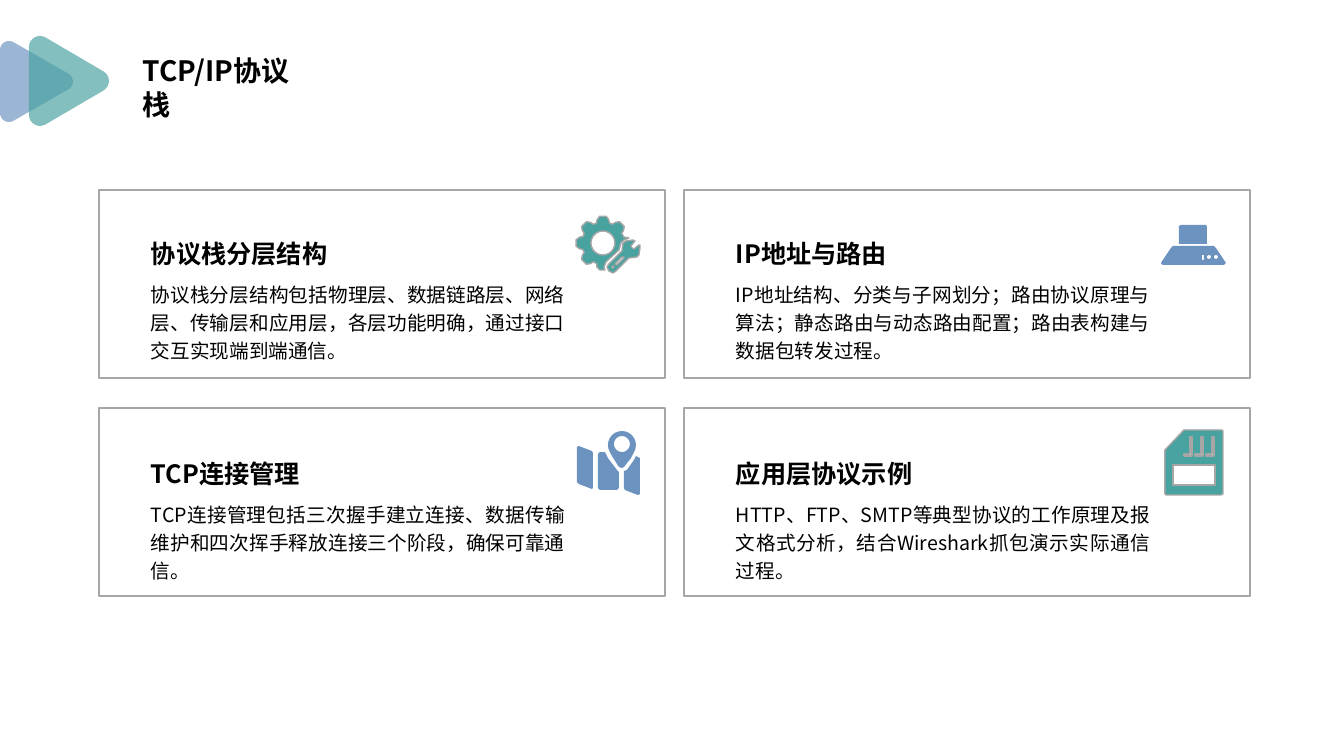
"""Build the TCP/IP protocol stack slide: four outlined cards with icons."""
from math import cos, radians, sin

from lxml.etree import SubElement
from pptx import Presentation
from pptx.dml.color import RGBColor
from pptx.enum.shapes import MSO_SHAPE
from pptx.enum.text import PP_ALIGN
from pptx.oxml.ns import qn
from pptx.util import Pt

PX = 914400 / 100.8
FONT = "Noto Sans CJK SC"
BLUE, TEAL, GREY, BLACK = "6C92C0", "48A2A0", "A6A6A6", "000000"
hue = RGBColor.from_string

deck = Presentation()
deck.slide_width, deck.slide_height = round(1344 * PX), round(756 * PX)
slide = deck.slides.add_slide(deck.slide_layouts[6])
shapes = slide.shapes


def arc(x, y, r, start=0, end=360):
    """Return points along a circle, every 15 degrees."""
    return [(x + r * cos(radians(a)), y + r * sin(radians(a)))
            for a in range(start, end + 1, 15)]


def draw(color, rings, edge=None, alpha=None):
    """Draw closed rings as one filled outline; inner rings are holes."""
    rings = [[(x * PX, y * PX) for x, y in ring] for ring in rings]
    pen = shapes.build_freeform(*rings[0][0])
    pen.add_line_segments(rings[0][1:], close=True)
    for ring in rings[1:]:
        pen.move_to(*ring[0])
        pen.add_line_segments(ring[1:], close=True)
    shape = pen.convert_to_shape()
    shape.shadow.inherit = False
    shape.fill.solid()
    shape.fill.fore_color.rgb = hue(color)
    if alpha:
        tint = shape._element.spPr.find(".//" + qn("a:srgbClr"))
        SubElement(tint, qn("a:alpha")).set("val", str(alpha * 1000))
    if edge:
        shape.line.color.rgb = hue(edge)
        shape.line.width = Pt(1)
    else:
        shape.line.fill.background()


for color, left, tip, top, low, r in [(BLUE, 9, 64, 50, 113, 9),
                                      (TEAL, 40, 98, 47, 115, 11)]:
    play = (arc(left, top, r, 180, 300) + arc(tip, (top + low) / 2, r, -60, 60)
            + arc(left, low, r, 60, 180))
    draw(color, [play], alpha=68)

texts = [(133, 49, 171, 44, "TCP/IP协议栈", 20, True, PP_ALIGN.LEFT, 1.0)]
cards = [
    ("协议栈分层结构", "协议栈分层结构包括物理层、数据链路层、网络层、传输层和应用层，"
     "各层功能明确，通过接口交互实现端到端通信。"),
    ("IP地址与路由", "IP地址结构、分类与子网划分；路由协议原理与算法；"
     "静态路由与动态路由配置；路由表构建与数据包转发过程。"),
    ("TCP连接管理", "TCP连接管理包括三次握手建立连接、数据传输维护和四次挥手"
     "释放连接三个阶段，确保可靠通信。"),
    ("应用层协议示例", "HTTP、FTP、SMTP等典型协议的工作原理及报文格式分析，"
     "结合Wireshark抓包演示实际通信过程。"),
]
for i, (head, body) in enumerate(cards):
    row, col = divmod(i, 2)
    box = (99 + 585 * col, 190 + 218 * row, 566, 188)
    card = shapes.add_shape(MSO_SHAPE.RECTANGLE, *[round(v * PX) for v in box])
    card.shadow.inherit = False
    card.fill.background()
    card.line.color.rgb = hue(GREY)
    card.line.width = Pt(1)
    x, y = 141 + 585 * col, 227 + 220 * row
    texts += [(x, y, 226, 46, head, 18, True, PP_ALIGN.JUSTIFY, 1.2),
              (x, y + 46, 434, 94, body, 14, False, PP_ALIGN.JUSTIFY, 1.2)]

for *box, words, size, bold, align, space in texts:
    frame = shapes.add_textbox(*[round(v * PX) for v in box]).text_frame
    frame.word_wrap = True
    para = frame.paragraphs[0]
    para.text = words
    para.alignment = align
    para.line_spacing = space
    font = para.font
    font.size, font.bold, font.name = Pt(size), bold, FONT
    font.color.rgb = hue(BLACK)
    props = para._p.pPr.find(qn("a:defRPr"))
    SubElement(props, qn("a:ea")).set("typeface", FONT)

gear = []
for mid in range(135, 316, 45):
    for r, turn in [(21, -18), (24, -14), (27, -7), (27, 7), (24, 14), (21, 18)]:
        a = radians(mid + turn)
        gear.append((603 + r * cos(a), 243 + r * sin(a)))
gear += [(624, 237), (629, 238), (624, 240), (621, 243), (619, 250), (606, 262),
         (604, 267), (605, 270), (600, 270), (597, 267), (597, 264)]
wrench = [(633, 240), (635, 241), (631, 246), (632, 248), (634, 249), (639, 245),
          (640, 245), (640, 248), (639, 255), (637, 257), (629, 258), (616, 271),
          (613, 273), (609, 271), (607, 267), (609, 264), (622, 251), (623, 243),
          (626, 241)]
slit = [(622, 257), (624, 257), (624, 258), (617, 265), (615, 264)]
draw(TEAL, [gear, arc(603, 243, 12), wrench, slit, arc(613, 267, 1)], GREY)

base = [(1173, 246), (1214, 246), (1216, 248), (1226, 263), (1224, 265),
        (1163, 265), (1161, 263), (1171, 248)]
hood = [(1181, 225), (1206, 225), (1207, 226), (1207, 244), (1179, 244),
        (1179, 226)]
bar = [(1202, 255), (1204, 255), (1204, 260), (1202, 260)]
draw(BLUE, [base, hood, bar, arc(1209, 257, 2), arc(1216, 257, 2)])

left = [(579, 446), (592, 451), (593, 453), (593, 488), (592, 489), (579, 484),
        (577, 482), (577, 447)]
middle = [(600, 452), (605, 452), (608, 458), (617, 470), (619, 472), (619, 488),
          (617, 490), (600, 490), (598, 488), (598, 454)]
right = [(636, 456), (640, 458), (640, 494), (638, 495), (625, 490), (624, 488),
         (624, 471), (627, 470), (634, 460)]
pin = arc(622, 445, 14, 150, 390) + [(631, 458), (624, 467), (622, 468),
                                     (619, 467), (612, 456)]
draw(BLUE, [left, middle, right, pin, arc(622, 444, 8)])

chip = [(1184, 430), (1222, 430), (1223, 431), (1223, 494), (1221, 495),
        (1166, 495), (1165, 494), (1165, 450)]
label = [(1173, 465), (1215, 465), (1215, 485), (1173, 485)]
hooks = [[(x, 454), (x + 6, 454), (x + 6, 437), (x + 8, 437), (x + 8, 456),
          (x, 456)] for x in range(1184, 1207, 11)]
draw(TEAL, [chip, label, *hooks], GREY)

deck.save("out.pptx")
